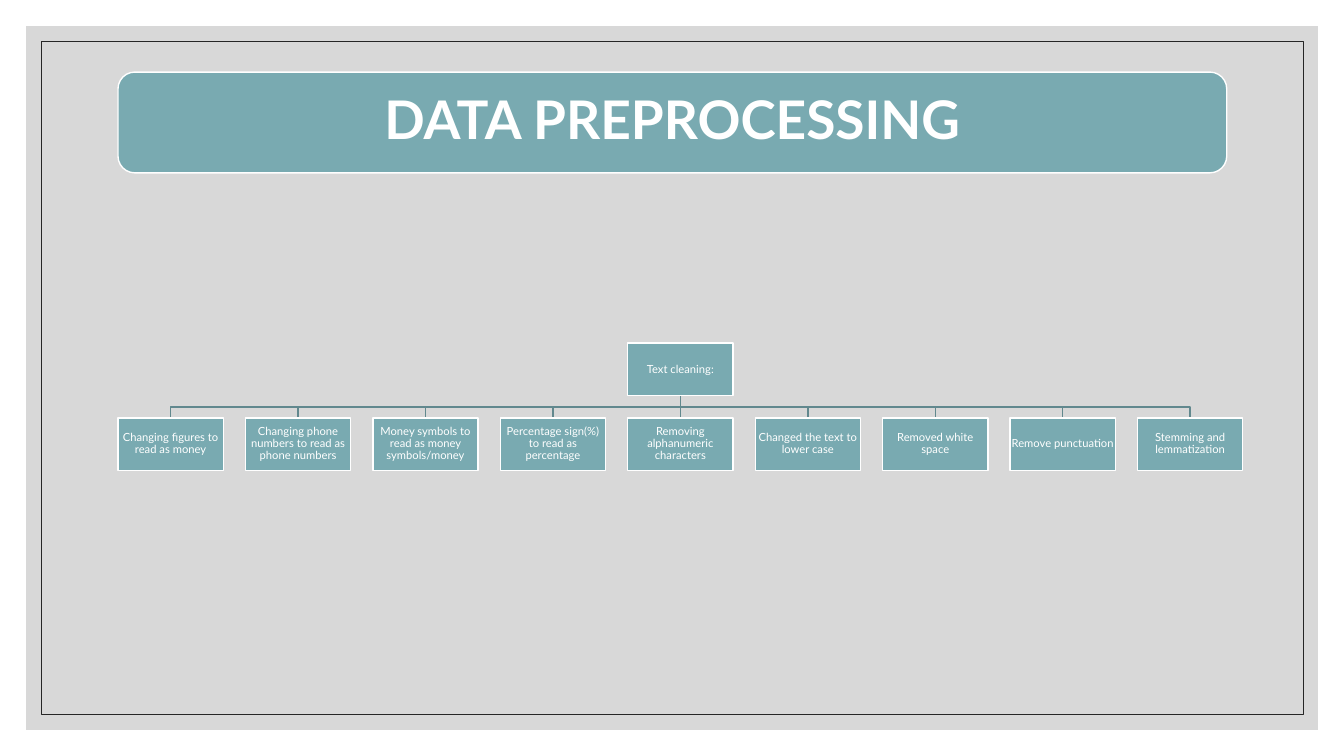
"""Build the data preprocessing slide with its text cleaning tree."""
from lxml import etree
from pptx import Presentation
from pptx.dml.color import RGBColor
from pptx.enum.shapes import MSO_CONNECTOR, MSO_SHAPE
from pptx.enum.text import MSO_ANCHOR, PP_ALIGN
from pptx.oxml.ns import qn
from pptx.util import Pt

RECTANGLE = MSO_SHAPE.RECTANGLE
ROUNDED = MSO_SHAPE.ROUNDED_RECTANGLE
STRAIGHT = MSO_CONNECTOR.STRAIGHT
CENTER = PP_ALIGN.CENTER
MIDDLE = MSO_ANCHOR.MIDDLE

FONT = "Lato"
COLORS = {
    "panel": "BFBFBF",
    "frame": "262626",
    "box": "79AAB1",
    "branch": "61888E",
    "white": "FFFFFF",
}
STEPS = [
    "Changing figures to read as money",
    "Changing phone numbers to read as phone numbers",
    "Money symbols to read as money symbols/money",
    "Percentage sign(%) to read as percentage",
    "Removing alphanumeric characters",
    "Changed the text to lower case",
    "Removed white space",
    "Remove punctuation",
    "Stemming and lemmatization",
]
LEFT, PITCH = 84.3, 91.03
BOX_WIDTH, BOX_HEIGHT = 75.2, 37.6
ROOT_TOP, STEP_TOP = 245.1, 298.6
ROOT_LEFT = LEFT + len(STEPS) // 2 * PITCH


def add_box(kind, left, top, width, height, fill=None, line=None, weight=1):
    shape = slide.shapes.add_shape(kind, Pt(left), Pt(top), Pt(width), Pt(height))
    shape.shadow.inherit = False
    for part, color in ((shape.fill, fill), (shape.line.fill, line)):
        if color:
            part.solid()
            part.fore_color.rgb = RGBColor.from_string(COLORS[color])
        else:
            part.background()
    if line:
        shape.line.width = Pt(weight)
    return shape


def add_label(shape, text, size, inset, bold=False):
    frame = shape.text_frame
    frame.text = text
    frame.word_wrap = True
    frame.vertical_anchor = MIDDLE
    frame.margin_left = frame.margin_right = Pt(inset)
    frame.margin_top = frame.margin_bottom = Pt(inset)
    paragraph = frame.paragraphs[0]
    paragraph.alignment = CENTER
    paragraph.line_spacing = 0.9
    font = paragraph.runs[0].font
    font.name, font.size, font.bold = FONT, Pt(size), bold
    font.color.rgb = RGBColor.from_string(COLORS["white"])


presentation = Presentation()
presentation.slide_width = Pt(960)
presentation.slide_height = Pt(540)
slide = presentation.slides.add_slide(presentation.slide_layouts[6])

panel = add_box(RECTANGLE, 18.7, 18.7, 922.6, 502.6, fill="panel")
panel_color = panel.fill._xPr.find(qn("a:solidFill"))[0]
etree.SubElement(panel_color, qn("a:alpha"), val="60000")
add_box(RECTANGLE, 29.5, 29.5, 901.4, 481, line="frame", weight=0.5)

title = add_box(ROUNDED, LEFT, 51.5, 792, 72, fill="box", line="white")
add_label(title, "DATA PREPROCESSING", 38, 11.5, bold=True)

root_center = ROOT_LEFT + BOX_WIDTH / 2
root_bottom = ROOT_TOP + BOX_HEIGHT
bend = (root_bottom + STEP_TOP) / 2
for index in range(len(STEPS)):
    step_center = LEFT + index * PITCH + BOX_WIDTH / 2
    if index == len(STEPS) // 2:
        branch = slide.shapes.add_connector(
            STRAIGHT, Pt(root_center), Pt(root_bottom), Pt(root_center), Pt(STEP_TOP))
        etree.SubElement(branch._element.spPr, qn("a:effectLst"))
    else:
        builder = slide.shapes.build_freeform(Pt(root_center), Pt(root_bottom))
        corners = [(root_center, bend), (step_center, bend), (step_center, STEP_TOP)]
        builder.add_line_segments([(Pt(x), Pt(y)) for x, y in corners], close=False)
        branch = builder.convert_to_shape()
        branch.shadow.inherit = False
        branch.fill.background()
    branch.line.color.rgb = RGBColor.from_string(COLORS["branch"])
    branch.line.width = Pt(1)

nodes = [("Text cleaning:", ROOT_LEFT, ROOT_TOP)]
nodes += [(step, LEFT + index * PITCH, STEP_TOP) for index, step in enumerate(STEPS)]
for text, left, top in nodes:
    node = add_box(RECTANGLE, left, top, BOX_WIDTH, BOX_HEIGHT, fill="box", line="white")
    add_label(node, text, 8, 0.4)

presentation.save("out.pptx")
